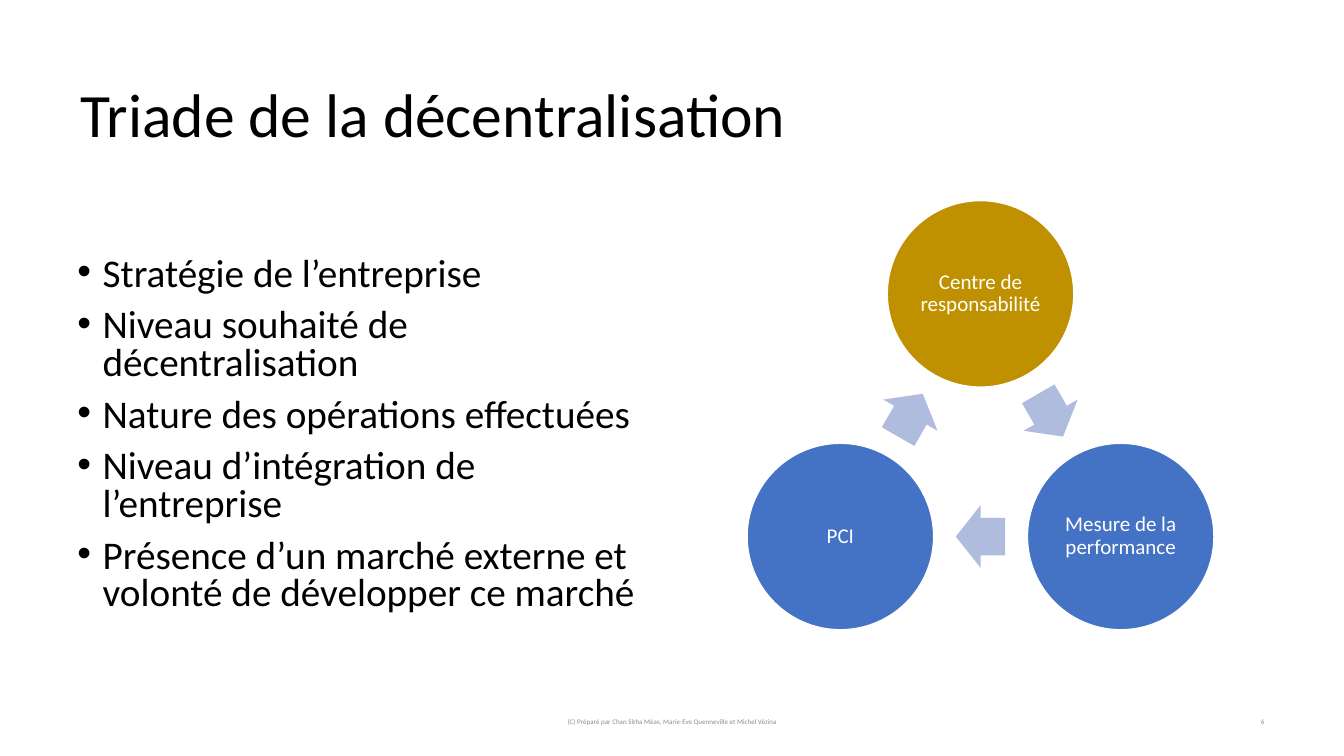
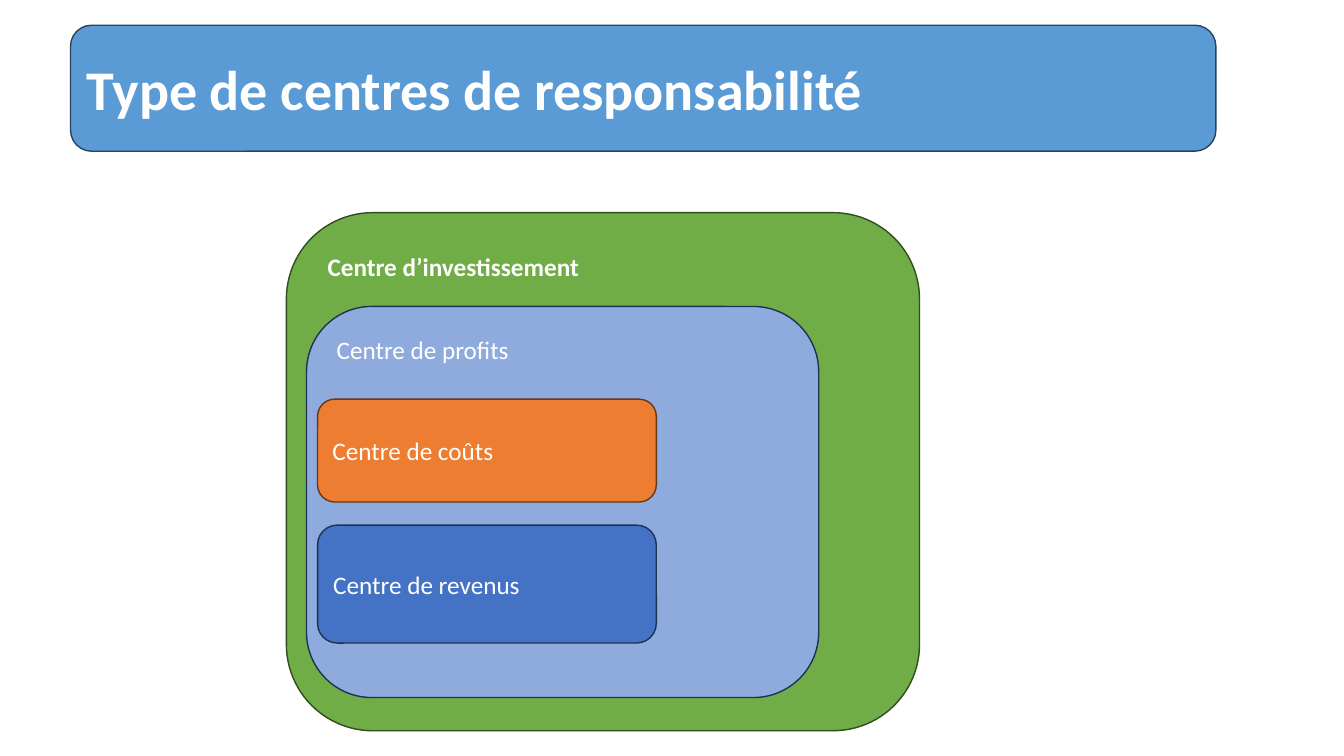
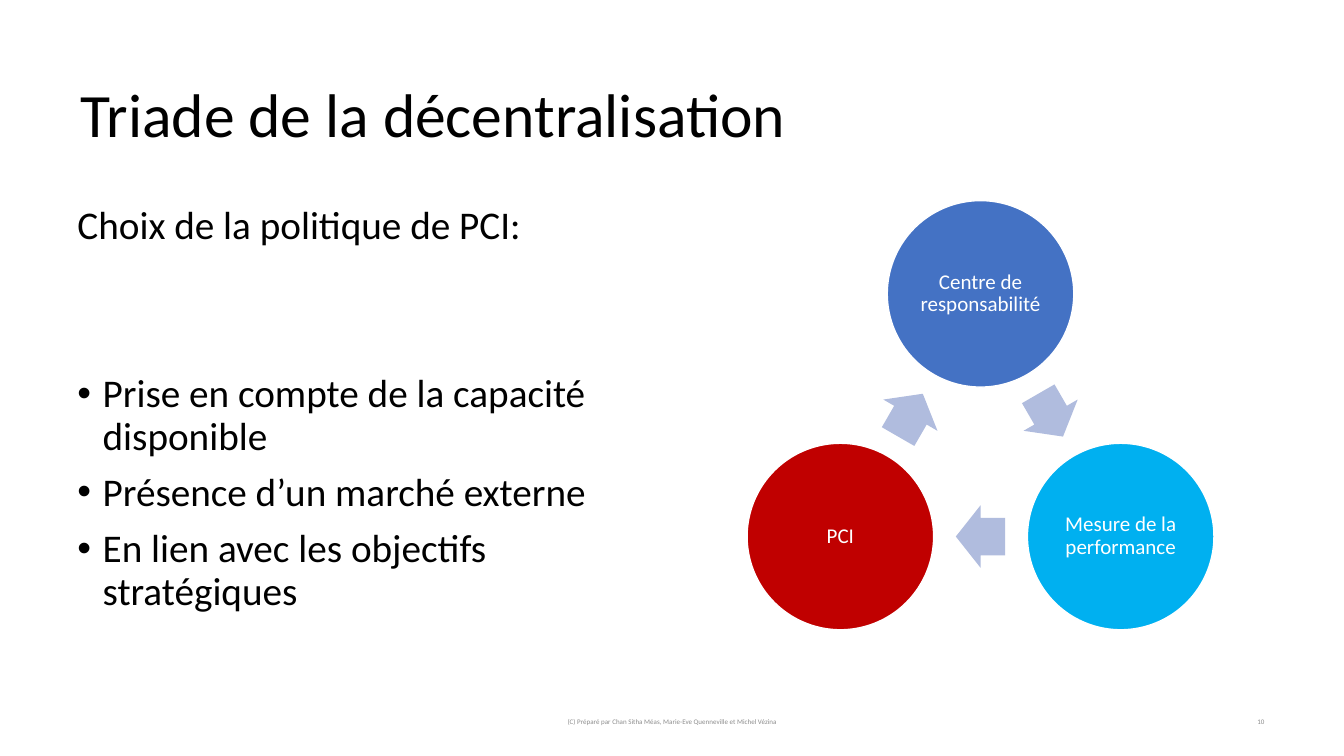
import math

import lxml.etree
import pptx
import pptx.dml.color
import pptx.enum.shapes
import pptx.enum.text
import pptx.oxml.ns
import pptx.util

EMU_PER_PX = 9144  # 100 px to the inch
SLIDE_SIZE = (1333, 750)
FONT = "Calibri"
BLACK, WHITE, GREY = "000000", "FFFFFF", "8C8C8C"
BLUE, DARK_BLUE, PALE_BLUE = "4472C4", "1E3256", "8FAADC"
ARROW_COLOUR = "B0BCDE"

TITLE_BOX = (70, 63, 1194, 108)
TRIAD_BOX = (741, 199, 463, 426)
COPYRIGHT_BOX = (456, 707, 422, 18)
NUMBER_BOX = (1196, 707, 68, 18)
COPYRIGHT = "(C) Préparé par Chan Sitha Méas, Marie-Eve Quenneville et Michel Vézina"
TRIAD_LABELS = ("Centre de responsabilité", "Mesure de la performance", "PCI")

SHAPE = pptx.enum.shapes.MSO_SHAPE
ALIGN = pptx.enum.text.PP_ALIGN
ANCHOR = pptx.enum.text.MSO_ANCHOR


def px(length):
    return pptx.util.Emu(round(length * EMU_PER_PX))


def colour(hex_string):
    return pptx.dml.color.RGBColor.from_string(hex_string)


def style(paragraph, size, hex_string, bold=False, align=ALIGN.LEFT, spacing=1.0):
    paragraph.alignment = align
    paragraph.line_spacing = spacing
    font = paragraph.font
    font.name, font.size, font.bold = FONT, pptx.util.Pt(size), bold
    font.color.rgb = colour(hex_string)


def add_text(slide, box, text, size, hex_string, anchor=ANCHOR.MIDDLE, **options):
    shape = slide.shapes.add_textbox(*map(px, box))
    frame = shape.text_frame
    frame.word_wrap = True
    frame.vertical_anchor = anchor
    paragraph = frame.paragraphs[0]
    paragraph.text = text
    style(paragraph, size, hex_string, **options)
    return shape


def add_shape(slide, kind, box, fill, line=None):
    shape = slide.shapes.add_shape(kind, *map(px, box))
    shape.shadow.inherit = False
    shape.fill.solid()
    shape.fill.fore_color.rgb = colour(fill)
    if line:
        shape.line.color.rgb = colour(line)
        shape.line.width = pptx.util.Pt(1)
    else:
        shape.line.fill.background()
    return shape


def add_rounded(slide, box, fill, line, text="", size=18, bold=False):
    shape = add_shape(slide, SHAPE.ROUNDED_RECTANGLE, box, fill, line)
    if text:
        shape.text_frame.text = text
        shape.text_frame.vertical_anchor = ANCHOR.MIDDLE
        style(shape.text_frame.paragraphs[0], size, WHITE, bold)


def add_bullet(paragraph):
    properties = paragraph._p.get_or_add_pPr()
    properties.set("marL", str(px(25)))
    properties.set("indent", str(-px(25)))
    for tag, attribute, value in (("a:buFont", "typeface", "Arial"), ("a:buChar", "char", "•")):
        element = lxml.etree.SubElement(properties, pptx.oxml.ns.qn(tag))
        element.set(attribute, value)


def add_points(slide, box, points, spacing, heading=None, heading_gap=10):
    shape = slide.shapes.add_textbox(*map(px, box))
    frame = shape.text_frame
    frame.word_wrap = True
    lines = ([heading] if heading else []) + list(points)
    for index, line in enumerate(lines):
        paragraph = frame.add_paragraph() if index else frame.paragraphs[0]
        paragraph.text = line
        if line != heading:
            add_bullet(paragraph)
        if index:
            after_heading = heading and index == 1
            paragraph.space_before = pptx.util.Pt(heading_gap if after_heading else 10)
        style(paragraph, 28, BLACK, spacing=spacing)


def add_triad(slide, box, fills):
    """Three circles on a ring, with an arrow halfway to the next circle."""
    left, top, width, _ = box
    diameter = 185
    ring = (width - diameter) / math.sqrt(3)
    middle_x, middle_y = left + width / 2, top + diameter / 2 + ring
    centres = [(middle_x + ring * math.cos(math.radians(angle)),
                middle_y + ring * math.sin(math.radians(angle)))
               for angle in (-90, 30, 150)]
    arrow_width, arrow_height = 49, 62
    for index, ((x, y), label, fill) in enumerate(zip(centres, TRIAD_LABELS, fills)):
        circle_box = (x - diameter / 2, y - diameter / 2, diameter, diameter)
        circle = add_shape(slide, SHAPE.OVAL, circle_box, fill, WHITE)
        frame = circle.text_frame
        frame.margin_left = frame.margin_right = frame.margin_top = frame.margin_bottom = px(2)
        frame.vertical_anchor = ANCHOR.MIDDLE
        frame.text = label
        style(frame.paragraphs[0], 15, WHITE, align=ALIGN.CENTER, spacing=0.9)

        next_x, next_y = centres[(index + 1) % 3]
        arrow_box = ((x + next_x - arrow_width) / 2, (y + next_y - arrow_height) / 2,
                     arrow_width, arrow_height)
        arrow = add_shape(slide, SHAPE.RIGHT_ARROW, arrow_box, ARROW_COLOUR)
        arrow.adjustments[0], arrow.adjustments[1] = 0.6, 0.5
        arrow.rotation = 60 + 120 * index


def add_footer(slide, number):
    for box, text, align in ((COPYRIGHT_BOX, COPYRIGHT, ALIGN.CENTER),
                             (NUMBER_BOX, str(number), ALIGN.RIGHT)):
        shape = add_text(slide, box, text, 5, GREY, align=align, spacing=0.9)
        shape.text_frame.paragraphs[0].space_after = pptx.util.Pt(6)


def add_slide(presentation):
    return presentation.slides.add_slide(presentation.slide_layouts[6])


def add_triad_slide(presentation, number, fills, points_box, points, spacing, **heading):
    slide = add_slide(presentation)
    add_text(slide, TITLE_BOX, "Triade de la décentralisation", 44, BLACK, spacing=0.9)
    add_points(slide, points_box, points, spacing, **heading)
    add_footer(slide, number)
    add_triad(slide, TRIAD_BOX, fills)


def add_nested_centres(slide, box):
    left, top, width, height = box
    # Investment centre around the profit centre
    add_rounded(slide, box, "70AD47", "314C1F")
    add_rounded(slide, (left + 20, top + 93, 508, 388), PALE_BLUE, DARK_BLUE)
    # Cost and revenue centres
    add_rounded(slide, (left + 31, top + 185, 336, 102), "ED7D31", "683715", "Centre de coûts")
    add_rounded(slide, (left + 31, top + 310, 336, 117), BLUE, DARK_BLUE, "Centre de revenus")
    # Labels of the two outer boxes
    add_text(slide, (left + 40, top + 116, 365, 40), "Centre de profits", 18, WHITE, ANCHOR.TOP)
    add_text(slide, (left + 31, top + 33, 365, 40), "Centre d’investissement", 18, WHITE,
             ANCHOR.TOP, bold=True)


def add_types_slide(presentation):
    slide = add_slide(presentation)
    add_nested_centres(slide, (284, 211, 628, 514))
    add_rounded(slide, (70, 25, 1136, 125), "5B9BD5", "28445D",
                "Type de centres de responsabilité", 40, True)


def main():
    presentation = pptx.Presentation()
    presentation.slide_width, presentation.slide_height = map(px, SLIDE_SIZE)
    add_triad_slide(
        presentation, 6, ("BF9000", BLUE, BLUE), (67, 250, 589, 375),
        ("Stratégie de l’entreprise",
         "Niveau souhaité de décentralisation",
         "Nature des opérations effectuées",
         "Niveau d’intégration de l’entreprise",
         "Présence d’un marché externe et volonté de développer ce marché"),
        0.8)
    add_types_slide(presentation)
    add_triad_slide(
        presentation, 10, (BLUE, "00B0F0", "C00000"), (67, 199, 589, 426),
        ("Prise en compte de la capacité disponible",
         "Présence d’un marché externe",
         "En lien avec les objectifs stratégiques"),
        0.9, heading="Choix de la politique de PCI:", heading_gap=90)
    presentation.save("out.pptx")


if __name__ == "__main__":
    main()
